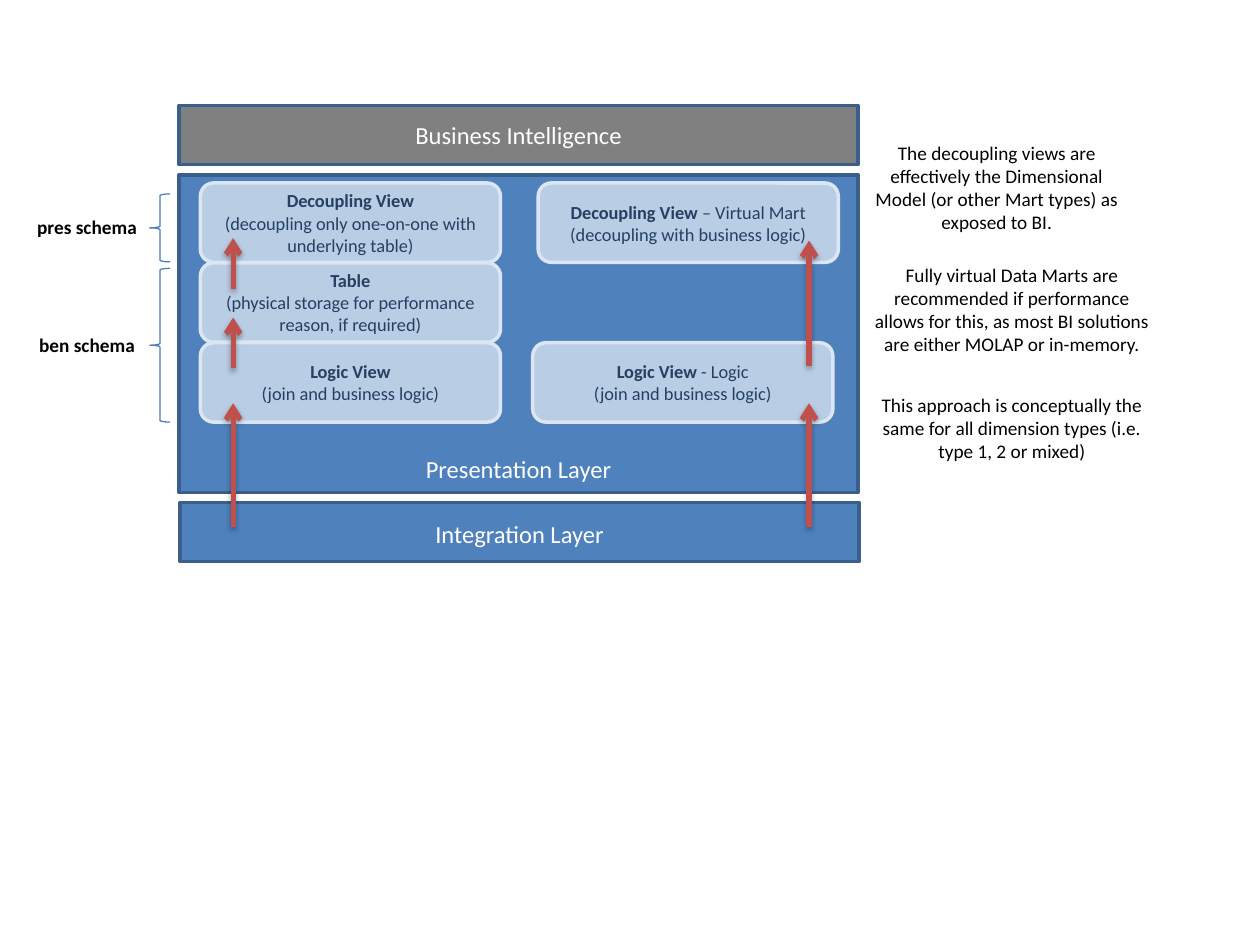
from lxml.etree import SubElement
from pptx import Presentation
from pptx.dml.color import RGBColor
from pptx.enum.shapes import MSO_CONNECTOR, MSO_SHAPE
from pptx.enum.text import MSO_ANCHOR, PP_ALIGN
from pptx.oxml.ns import qn
from pptx.util import Cm, Pt

COLORS = {
    "layer": "4F81BD", "layer_edge": "3A5F8C", "bi": "808080",
    "card": "B9CDE5", "card_edge": "DCE6F2", "card_text": "254061",
    "arrow": "C0504D", "brace": "4B7EBC",
    "white": "FFFFFF", "black": "000000",
}
CARD_W, CARD_H, CARD_PITCH = 6.05, 1.6, 1.61
BAR_W, BAR_H = 13.69, 1.19


def rgb(name):
    """Return the palette colour of that name."""
    return RGBColor.from_string(COLORS[name])


def write(tf, lines, size, color):
    """Fill a frame with centred lines, each a list of (text, bold) runs."""
    tf.word_wrap = True
    for i, runs in enumerate(lines):
        p = tf.paragraphs[0] if i == 0 else tf.add_paragraph()
        p.alignment = PP_ALIGN.CENTER
        for text, bold in runs:
            r = p.add_run()
            r.text = text
            r.font.name = "Calibri"
            r.font.size = Pt(size)
            r.font.bold = bold
            r.font.color.rgb = rgb(color)


def add_label(s, left, top, width, height, text, size=11, color="black", bold=False):
    """Add a one-paragraph text box."""
    sp = s.shapes.add_textbox(Cm(left), Cm(top), Cm(width), Cm(height))
    write(sp.text_frame, [[(text, bold)]], size, color)


def add_block(s, kind, left, top, width, height, fill, edge, weight=2):
    """Add a flat preset shape, unfilled when fill is None."""
    sp = s.shapes.add_shape(kind, Cm(left), Cm(top), Cm(width), Cm(height))
    sp.shadow.inherit = False
    if fill:
        sp.fill.solid()
        sp.fill.fore_color.rgb = rgb(fill)
    else:
        sp.fill.background()
    sp.line.color.rgb = rgb(edge)
    sp.line.width = Pt(weight)
    return sp


def add_arrow(s, x, start, end):
    """Add a vertical arrow with a soft shadow below it."""
    sp = s.shapes.add_connector(MSO_CONNECTOR.STRAIGHT, Cm(x), Cm(start), Cm(x), Cm(end))
    sp.line.color.rgb = rgb("arrow")
    sp.line.width = Pt(3)
    SubElement(sp.line._get_or_add_ln(), qn("a:tailEnd"), type="arrow")
    effects = SubElement(sp._element.spPr, qn("a:effectLst"))
    shadow = SubElement(effects, qn("a:outerShdw"), blurRad=str(Pt(3.1)),
                        dist=str(Pt(1.8)), dir="5400000", rotWithShape="0")
    black = SubElement(shadow, qn("a:srgbClr"), val=COLORS["black"])
    SubElement(black, qn("a:alpha"), val="35000")


def add_layer(s, left, top, height, text, text_top, fill="layer"):
    """Add a layer bar with its name."""
    add_block(s, MSO_SHAPE.RECTANGLE, left, top, BAR_W, height, fill, "layer_edge")
    add_label(s, left + 4.24, top + text_top, 5.21, 0.86, text, 14, "white")


def add_cards(s, left, top):
    """Add the view and table cards inside the presentation layer."""
    cards = [
        (0.43, 0, "Decoupling View", "", "(decoupling only one-on-one with underlying table)"),
        (0.43, 1, "Table", "", "(physical storage for performance reason, if required)"),
        (0.43, 2, "Logic View", "", "(join and business logic)"),
        (7.24, 0, "Decoupling View", " – Virtual Mart", "(decoupling with business logic)"),
        (7.13, 2, "Logic View", " - Logic", "(join and business logic)"),
    ]
    for x, row, name, suffix, detail in cards:
        sp = add_block(s, MSO_SHAPE.ROUNDED_RECTANGLE, left + x,
                       top + 0.16 + row * CARD_PITCH, CARD_W, CARD_H, "card", "card_edge")
        sp.text_frame.vertical_anchor = MSO_ANCHOR.MIDDLE
        heading = [(name, True)] + ([(suffix, False)] if suffix else [])
        write(sp.text_frame, [heading, [(detail, False)]], 10.5, "card_text")


def add_flows(s, left, top):
    """Add the upward data flows through the presentation layer."""
    flows = [(1.09, 7.09, 4.6), (1.09, 3.89, 2.87), (1.09, 2.29, 1.27),
             (12.7, 7.09, 4.6), (12.7, 3.84, 1.32)]
    for x, start, end in flows:
        add_arrow(s, left + x, top + start, top + end)


def add_schemas(s, left, top):
    """Add the schema names with their braces."""
    for text, y, height, text_y in [("pres schema", 0, 1.37, 0.31),
                                    ("ben schema", 1.5, 3.1, 2.69)]:
        add_label(s, left, top + text_y, 3.45, 0.74, text, bold=True)
        add_block(s, MSO_SHAPE.LEFT_BRACE, left + 2.99, top + y, 0.41, height,
                  None, "brace", 0.75)


def add_notes(s, left, top):
    """Add the column of remarks."""
    notes = [
        (0, 5.59, 2.13, "The decoupling views are effectively the Dimensional Model "
                        "(or other Mart types) as exposed to BI."),
        (2.46, 6.2, 2.13, "Fully virtual Data Marts are recommended if performance allows "
                          "for this, as most BI solutions are either MOLAP or in-memory."),
        (5.08, 6.2, 1.68, "This approach is conceptually the same for all dimension types "
                          "(i.e. type 1, 2 or mixed)"),
    ]
    for y, width, height, text in notes:
        add_label(s, left, top + y, width, height, text)


def main():
    """Build and save the slide."""
    prs = Presentation()
    prs.slide_width, prs.slide_height = Cm(25.4), Cm(19.05)
    s = prs.slides.add_slide(prs.slide_layouts[6])
    left, top = 3.61, 3.53
    add_layer(s, left + 0.02, 10.13, BAR_H, "Integration Layer", 0.21)
    add_layer(s, left, top, 6.4, "Presentation Layer", 5.49)
    add_layer(s, left, 2.13, BAR_H, "Business Intelligence", 0.16, "bi")
    add_cards(s, left, top)
    add_flows(s, left, top)
    add_schemas(s, 0.03, 3.91)
    add_notes(s, 17.3, 2.72)
    prs.save("out.pptx")


if __name__ == "__main__":
    main()
